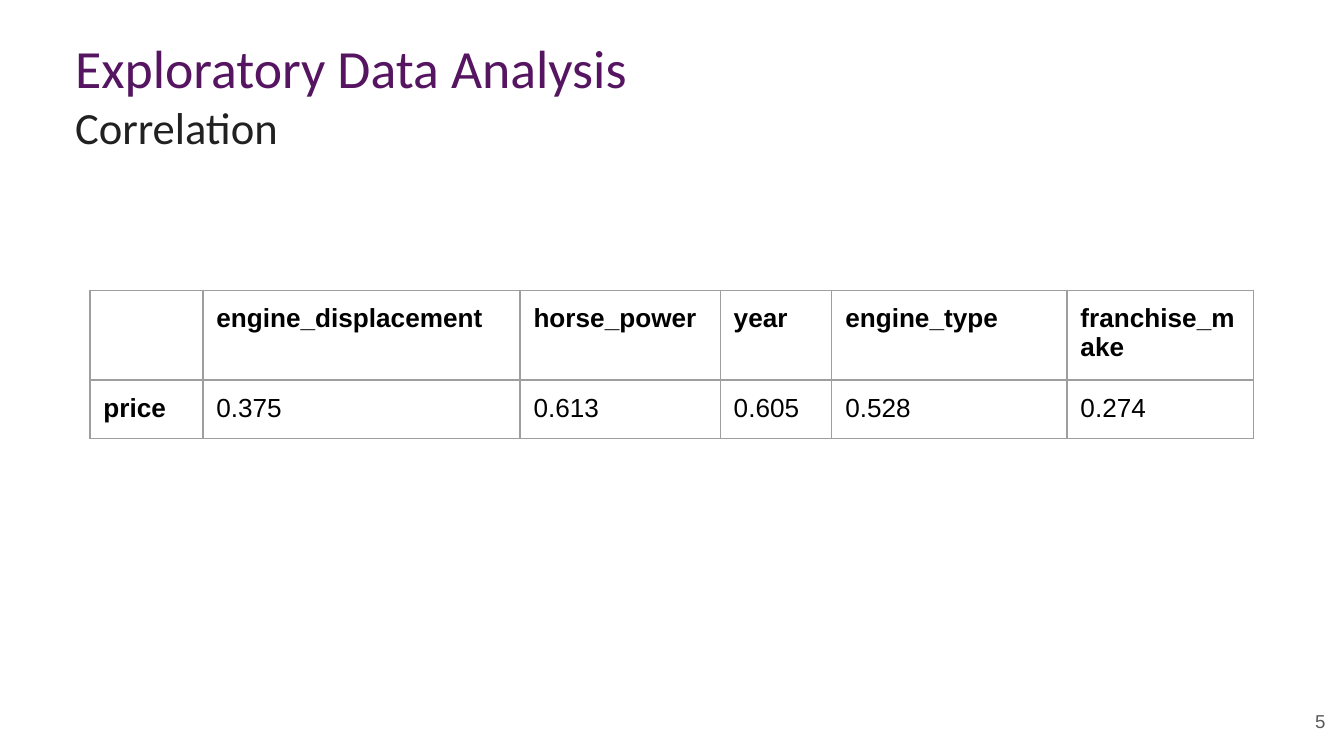
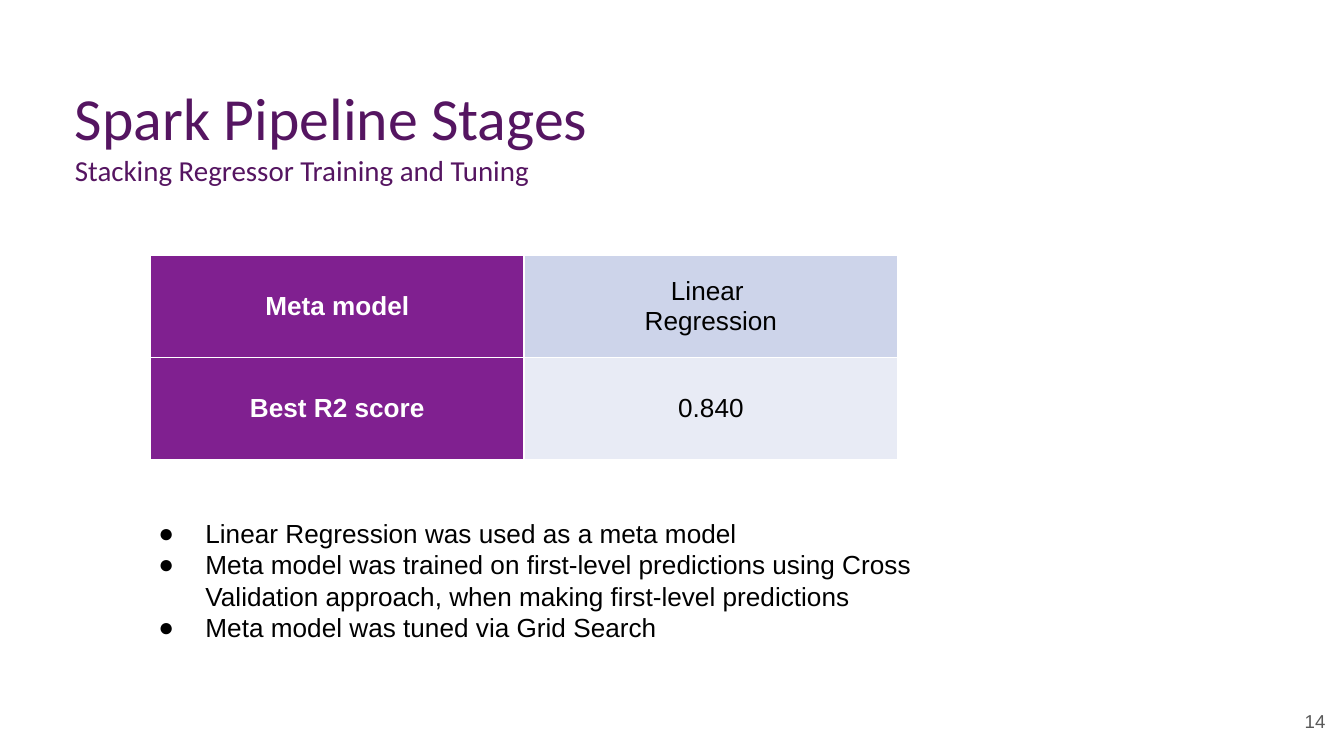
from lxml.etree import SubElement
from pptx import Presentation
from pptx.dml.color import RGBColor
from pptx.enum.text import MSO_ANCHOR, PP_ALIGN
from pptx.oxml.ns import qn
from pptx.util import Inches, Pt

PURPLE = RGBColor(0x55, 0x15, 0x61)
HEADER_PURPLE = RGBColor(0x80, 0x20, 0x90)
CHARCOAL = RGBColor(0x21, 0x21, 0x21)
NUMBER_GRAY = RGBColor(0x59, 0x59, 0x59)
GRID_GRAY = RGBColor(0x9E, 0x9E, 0x9E)
BAND_DARK = RGBColor(0xCD, 0xD4, 0xEA)
BAND_LIGHT = RGBColor(0xE8, 0xEB, 0xF5)
BLACK = RGBColor(0, 0, 0)
WHITE = RGBColor(0xFF, 0xFF, 0xFF)

TITLE_FONT = "Calibri"
BODY_FONT = "Arial"


def format_para(para, size, color, font=BODY_FONT, bold=False, align=PP_ALIGN.LEFT):
    para.alignment = align
    for span in para.runs:
        span.font.name = font
        span.font.size = Pt(size)
        span.font.bold = bold
        span.font.color.rgb = color
    # The paragraph mark takes the same size as the text
    SubElement(para._p, qn("a:endParaRPr"), sz=str(round(size * 100)))


def set_margins(target, vertical):
    target.margin_left = target.margin_right = Inches(0.1)
    target.margin_top = target.margin_bottom = Inches(vertical)


def add_text(page, box, text, vertical_margin=0.1, anchor=MSO_ANCHOR.TOP):
    frame = page.shapes.add_textbox(*map(Inches, box)).text_frame
    frame.word_wrap = True
    frame.vertical_anchor = anchor
    set_margins(frame, vertical_margin)
    frame.text = text
    return frame


def add_title(page, box, title, title_size, subtitle, subtitle_size, subtitle_color):
    frame = add_text(page, box, f"{title}\n{subtitle}", 0.05, MSO_ANCHOR.MIDDLE)
    format_para(frame.paragraphs[0], title_size, PURPLE, TITLE_FONT)
    format_para(frame.paragraphs[1], subtitle_size, subtitle_color, TITLE_FONT)


def add_page_number(page, number):
    frame = add_text(page, (9.36, 5.2, 0.6, 0.43), str(number))
    format_para(frame.paragraphs[0], 10, NUMBER_GRAY, align=PP_ALIGN.RIGHT)


def add_bullets(page, box, items):
    frame = add_text(page, box, "\n".join(items))
    for para in frame.paragraphs:
        format_para(para, 14, BLACK)
        props = para._p.get_or_add_pPr()
        props.set("marL", str(Inches(0.5)))
        props.set("indent", str(Inches(-0.35)))
        bullet_color = SubElement(props, qn("a:buClr"))
        SubElement(bullet_color, qn("a:srgbClr"), val=str(BLACK))
        SubElement(props, qn("a:buSzPts"), val="1400")
        SubElement(props, qn("a:buFont"), typeface=BODY_FONT)
        SubElement(props, qn("a:buChar"), char="●")


def set_borders(cell, color, width):
    props = cell._tc.get_or_add_tcPr()
    for position, side in enumerate(("lnL", "lnR", "lnT", "lnB")):
        line = SubElement(props, qn(f"a:{side}"), w=str(Pt(width)))
        fill = SubElement(line, qn("a:solidFill"))
        SubElement(fill, qn("a:srgbClr"), val=str(color))
        props.insert(position, line)  # borders come before the cell fill


def add_grid(page, left, top, widths, row_height, rows, style_cell):
    """Add a plain table and let style_cell finish each cell."""
    frame = page.shapes.add_table(
        len(rows), len(widths), Inches(left), Inches(top),
        Inches(sum(widths)), Inches(row_height * len(rows)))
    table = frame.table
    table.first_row = table.horz_banding = False
    for column, width in zip(table.columns, widths):
        column.width = Inches(width)
    for r, values in enumerate(rows):
        table.rows[r].height = Inches(row_height)
        for c, value in enumerate(values):
            cell = table.cell(r, c)
            cell.text = value
            style_cell(cell, r, c)


def style_correlation_cell(cell, row, column):
    set_margins(cell, 0.1)
    cell.fill.background()
    set_borders(cell, GRID_GRAY, 0.75)
    for para in cell.text_frame.paragraphs:
        format_para(para, 14, BLACK, bold=row == 0 or column == 0)


def style_score_cell(cell, row, column):
    is_label = column == 0
    set_margins(cell, 0.05)
    cell.vertical_anchor = MSO_ANCHOR.MIDDLE
    cell.fill.solid()
    cell.fill.fore_color.rgb = HEADER_PURPLE if is_label else (BAND_DARK, BAND_LIGHT)[row]
    set_borders(cell, WHITE, 1)
    for para in cell.text_frame.paragraphs:
        format_para(para, 14, WHITE if is_label else BLACK,
                    bold=is_label, align=PP_ALIGN.CENTER)


def build_correlation(page):
    add_page_number(page, 5)
    add_title(page, (0.46, 0.41, 5.65, 0.58),
              "Exploratory Data Analysis", 28.8, "Correlation", 23.9, CHARCOAL)
    correlations = {
        "": "price",
        "engine_displacement": "0.375",
        "horse_power": "0.613",
        "year": "0.605",
        "engine_type": "0.528",
        "franchise_make": "0.274",
    }
    add_grid(page, 0.67, 2.16, (0.84, 2.36, 1.49, 0.83, 1.75, 1.39), 0.42,
             [list(correlations), list(correlations.values())], style_correlation_cell)


def build_stacking(page):
    add_page_number(page, 14)
    add_title(page, (0.46, 0.41, 7.24, 1.17), "Spark Pipeline Stages", 32,
              "Stacking Regressor Training and Tuning", 15.5, PURPLE)
    add_grid(page, 1.12, 1.9, (2.78, 2.78), 0.76,
             [("Meta model", "Linear \nRegression"), ("Best R2 score", "0.840")],
             style_score_cell)
    add_bullets(page, (0.93, 3.75, 6.42, 1.14), (
        "Linear Regression was used as a meta model",
        "Meta model was trained on first-level predictions using Cross "
        "Validation approach, when making first-level predictions",
        "Meta model was tuned via Grid Search",
    ))


def main():
    deck = Presentation()
    deck.slide_width = Inches(10)
    deck.slide_height = deck.slide_width * 9 // 16
    blank = deck.slide_layouts[6]
    for build in (build_correlation, build_stacking):
        build(deck.slides.add_slide(blank))
    deck.save("out.pptx")


if __name__ == "__main__":
    main()
